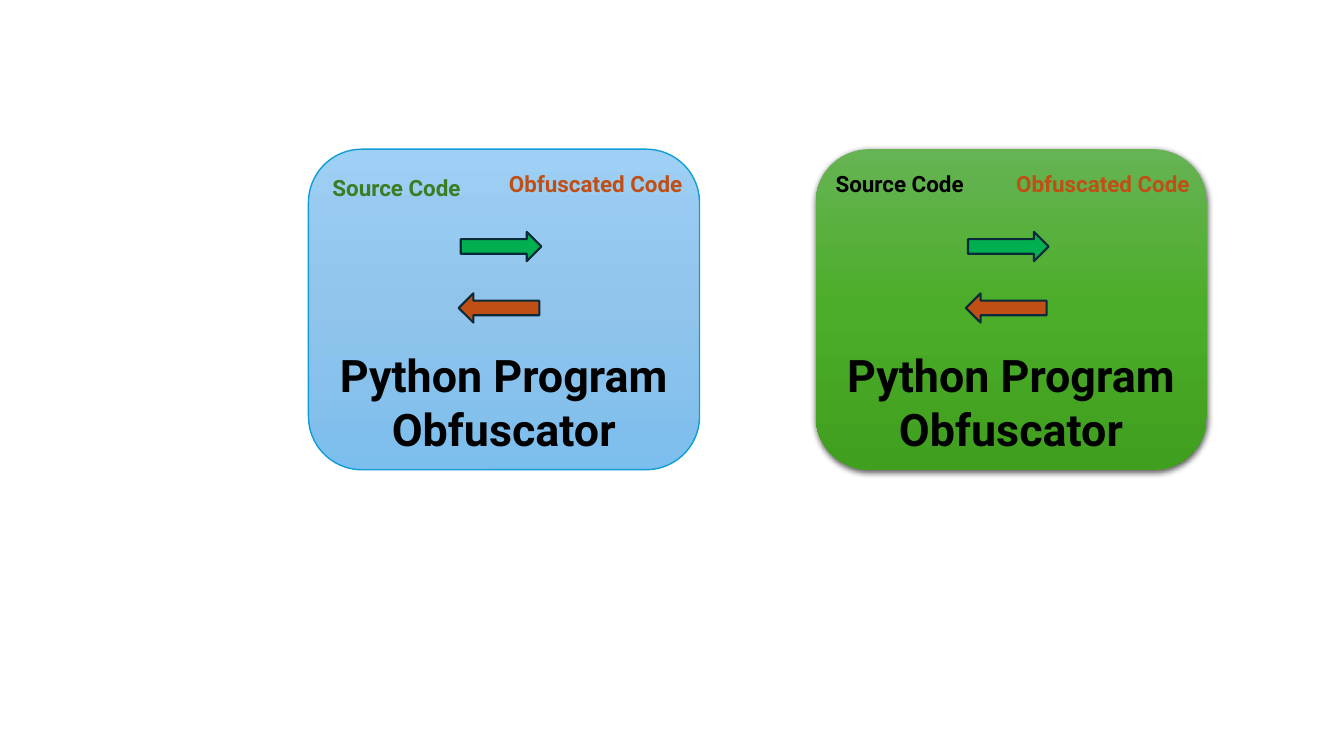
from copy import deepcopy

from lxml.etree import SubElement
from pptx import Presentation
from pptx.dml.color import RGBColor
from pptx.enum.shapes import MSO_SHAPE as SHAPE
from pptx.enum.text import MSO_AUTO_SIZE as AUTO, PP_ALIGN as ALIGN
from pptx.oxml.ns import qn
from pptx.util import Inches, Pt

BLACK = RGBColor(0x00, 0x00, 0x00)
GREEN = RGBColor(0x00, 0xB0, 0x50)
RUST = RGBColor(0xC0, 0x4F, 0x15)
FOREST = RGBColor(0x3B, 0x7D, 0x23)
NAVY = RGBColor(0x09, 0x2A, 0x39)
AZURE = RGBColor(0x0F, 0x9E, 0xD5)
BLUES = (RGBColor(0x9E, 0xCF, 0xF5), RGBColor(0x90, 0xC4, 0xEB), RGBColor(0x7C, 0xBE, 0xED))
GREENS = (RGBColor(0x66, 0xB3, 0x54), RGBColor(0x4B, 0xAD, 0x28), RGBColor(0x40, 0x9F, 0x1E))


def write(tf, text, size=16, color=BLACK, align=ALIGN.LEFT, font="Roboto", bold=True):
    p = tf.paragraphs[0]
    p.alignment = align
    r = p.add_run()
    r.text = text
    r.font.name = font
    r.font.size = Pt(size)
    r.font.bold = bold
    r.font.color.rgb = color


class Deck:
    def __init__(self):
        self.prs = Presentation()
        self.prs.slide_width, self.prs.slide_height = Inches(13.33), Inches(7.5)
        self.slide = self.prs.slides.add_slide(self.prs.slide_layouts[6])

    def box(self, x, y, w, h):
        across, down = self.prs.slide_width / 100, self.prs.slide_height / 100
        return int(x * across), int(y * down), int(w * across), int(h * down)

    def shape(self, kind, area, line=None, width=1):
        sp = self.slide.shapes.add_shape(kind, *self.box(*area))
        sp.shadow.inherit = False
        if line is None:
            sp.line.fill.background()
        else:
            sp.line.color.rgb = line
            sp.line.width = Pt(width)
        return sp

    def panel(self, area, colors, line=None):
        sp = self.shape(SHAPE.ROUNDED_RECTANGLE, area, line)
        sp.fill.gradient()
        sp.fill.gradient_angle = 270
        stops = sp.element.spPr.find(".//" + qn("a:gsLst"))
        stops.insert(1, deepcopy(stops[0]))
        for i, (stop, color) in enumerate(zip(sp.fill.gradient_stops, colors)):
            stop.position = i / 2
            stop.color.rgb = color
        return sp

    def cast_shadow(self, sp):
        effects = sp.element.spPr.find(qn("a:effectLst"))
        shadow = SubElement(effects, qn("a:outerShdw"), blurRad=str(Pt(4.5)),
                            dist=str(Pt(1.5)), dir="5400000", algn="ctr", rotWithShape="0")
        color = SubElement(shadow, qn("a:srgbClr"), val=str(BLACK))
        SubElement(color, qn("a:alpha"), val="63000")

    def arrow(self, x, y, color, rotation=0):
        sp = self.shape(SHAPE.RIGHT_ARROW, (x, y, 6, 3.87), NAVY, 1.5)
        sp.fill.solid()
        sp.fill.fore_color.rgb = color
        sp.rotation = rotation

    def text(self, area, text, **style):
        tf = self.slide.shapes.add_textbox(*self.box(*area)).text_frame
        tf.word_wrap = True
        tf.auto_size = AUTO.SHAPE_TO_FIT_TEXT
        write(tf, text, **style)

    def obfuscator(self, x, colors, line, shadowed, source_at, source_color):
        sp = self.panel((x, 19.73, 29.1, 42.4), colors, line)
        if shadowed:
            self.cast_shadow(sp)
        self.arrow(x + 11.33, 30.67, GREEN)
        self.arrow(x + 11.18, 38.8, RUST, 180)
        self.text((x - 1.88, 45.33, 32.85, 15.73), "Python Program Obfuscator",
                  size=32, align=ALIGN.CENTER)
        dx, y = source_at
        self.text((x + dx, y, 11.48, 4.93), "Source Code", color=source_color)
        self.text((x + 14.18, 21.87, 16.05, 4.93), "Obfuscated Code", color=RUST)


def main():
    deck = Deck()
    deck.obfuscator(22.95, BLUES, AZURE, False, (1.05, 22.4), FOREST)
    deck.obfuscator(60.69, GREENS, None, True, (0.75, 21.87), BLACK)
    deck.prs.save("out.pptx")


if __name__ == "__main__":
    main()
